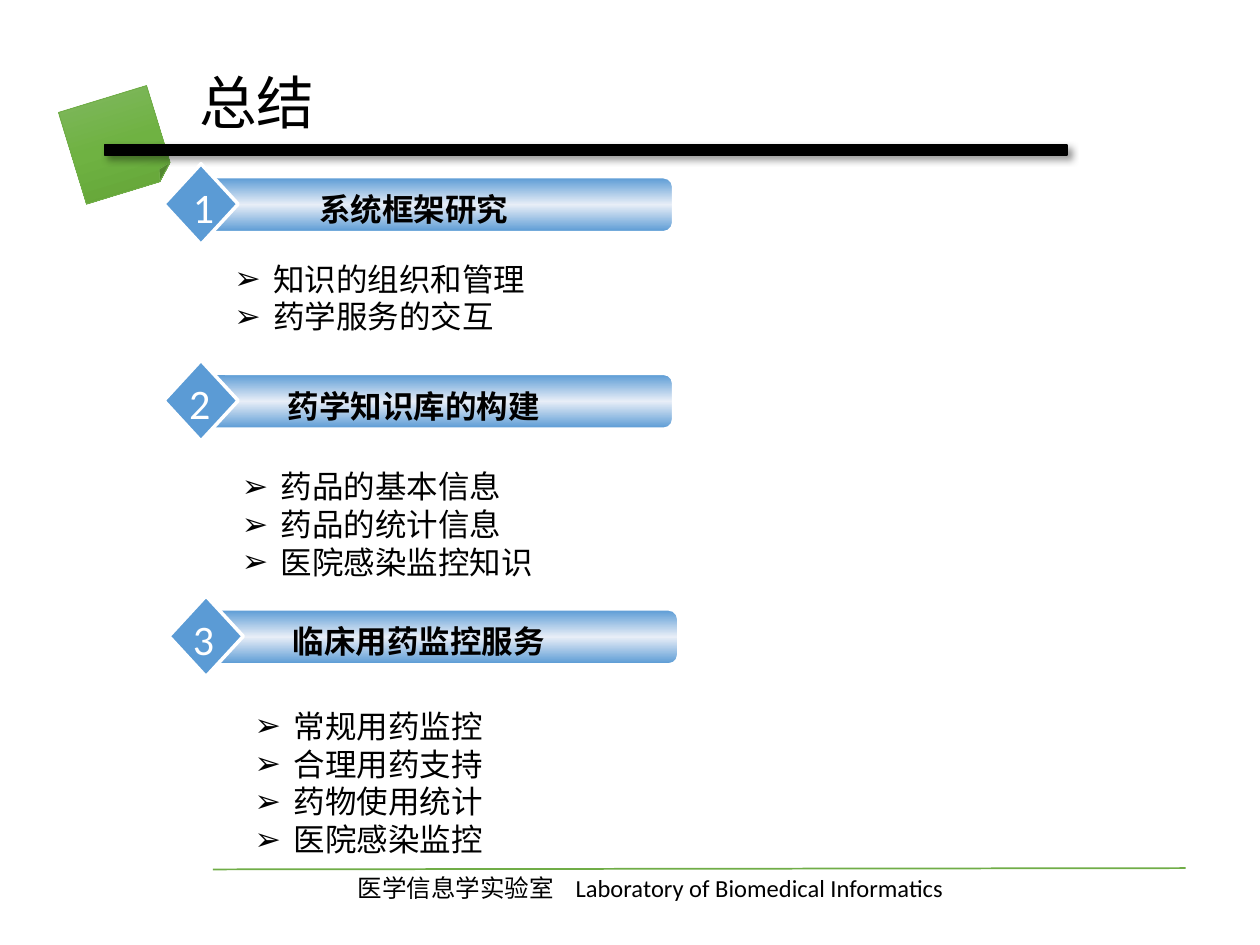
"""Build the summary slide: three numbered banners, each with a bulleted list."""
from copy import deepcopy
from dataclasses import dataclass

from lxml import etree
from pptx import Presentation
from pptx import util as u
from pptx.dml.color import RGBColor
from pptx.enum import shapes, text
from pptx.oxml.ns import qn

COLUMNS, ROWS = 100, 75
SLIDE_WIDTH, SLIDE_HEIGHT = u.Inches(10), u.Inches(7.5)
FONT = "Calibri"
BLACK = RGBColor(0x00, 0x00, 0x00)
WHITE = RGBColor(0xFF, 0xFF, 0xFF)
BLUE = RGBColor(0x5B, 0x9B, 0xD5)
PALE = RGBColor(0xE8, 0xEE, 0xF7)
GREEN = RGBColor(0x70, 0xAD, 0x47)
LEAF = (RGBColor(0x81, 0xB8, 0x61), RGBColor(0x6F, 0xB2, 0x42), RGBColor(0x62, 0xA3, 0x36))
BANNER = (BLUE, PALE, BLUE)


@dataclass(frozen=True)
class Area:
    """A rectangle in grid columns and rows."""
    column: float
    row: float
    columns: float
    rows: float

    def lengths(self) -> tuple[int, ...]:
        """Return left, top, width and height on the slide."""
        across, down = SLIDE_WIDTH / COLUMNS, SLIDE_HEIGHT / ROWS
        return (round(self.column * across), round(self.row * down),
                round(self.columns * across), round(self.rows * down))


@dataclass(frozen=True)
class Section:
    """A numbered banner and the list below it."""
    number: str
    heading: str
    column: float
    row: float
    number_column: float
    placeholder: int
    list_area: Area
    items: tuple[str, ...]


SECTIONS = (
    Section("1", "系统框架研究", 13, 13, 14.3, 1, Area(17.6, 20.1, 30, 7.1),
            ("知识的组织和管理", "药学服务的交互")),
    Section("2", "药学知识库的构建", 13, 28.6, 14, 2, Area(18.2, 36.6, 30, 10.1),
            ("药品的基本信息", "药品的统计信息", "医院感染监控知识")),
    Section("3", "临床用药监控服务", 13.4, 47.3, 14.3, 4, Area(19.2, 55.6, 30, 13.1),
            ("常规用药监控", "合理用药支持", "药物使用统计", "医院感染监控")),
)


def place(shape, area: Area) -> None:
    """Move a shape to its grid area."""
    shape.left, shape.top, shape.width, shape.height = area.lengths()


def write(shape, lines, *, size: float, color=BLACK, bold=False,
          align=text.PP_ALIGN.LEFT, anchor=text.MSO_ANCHOR.TOP,
          spacing=1.0, bullet="", indent=0.31, tab=0.0) -> None:
    """Write paragraphs with one format into a shape."""
    frame = shape.text_frame
    frame.auto_size = text.MSO_AUTO_SIZE.NONE
    frame.word_wrap = True
    frame.vertical_anchor = anchor
    for index, line in enumerate(lines):
        para = frame.add_paragraph() if index else frame.paragraphs[0]
        para.alignment = align
        para.line_spacing = spacing
        para.space_before = u.Pt(0)
        properties = para._p.get_or_add_pPr()
        if bullet:
            properties.set("marL", str(u.Inches(indent)))
            properties.set("indent", str(-u.Inches(indent)))
            etree.SubElement(properties, qn("a:buChar"), char=bullet)
        if tab:
            tabs = etree.SubElement(properties, qn("a:tabLst"))
            etree.SubElement(tabs, qn("a:tab"), pos=str(u.Inches(tab)), algn="l")
        span = para.add_run()
        span.text = line
        span.font.name = FONT
        span.font.size = u.Pt(size)
        span.font.bold = bold
        span.font.color.rgb = color


def add_label(owner, area: Area, line: str, **style) -> None:
    """Add a one-line text box."""
    write(owner.add_textbox(*area.lengths()), [line], **style)


def add_figure(owner, kind, area: Area, colors, line, line_width: float):
    """Add a preset shape with a plain fill or a vertical gradient."""
    shape = owner.add_shape(kind, *area.lengths())
    shape.shadow.inherit = False
    shape.line.color.rgb = line
    shape.line.width = u.Pt(line_width)
    if len(colors) == 1:
        shape.fill.solid()
        shape.fill.fore_color.rgb = colors[0]
        return shape
    shape.fill.gradient()
    shape.fill.gradient_angle = 270
    stops = shape._element.spPr.find(".//" + qn("a:gsLst"))
    stops.insert(1, deepcopy(stops[0]))
    for index, (stop, color) in enumerate(zip(shape.fill.gradient_stops, colors)):
        stop.position = index / (len(colors) - 1)
        stop.color.rgb = color
    return shape


def add_shadow(shape) -> None:
    """Give a shape a soft black shadow to the lower right."""
    effects = shape._element.spPr.find(qn("a:effectLst"))
    shadow = etree.SubElement(effects, qn("a:outerShdw"), blurRad=str(u.Pt(4)),
                              dist=str(u.Pt(3)), dir="2700000", algn="tl", rotWithShape="0")
    color = etree.SubElement(shadow, qn("a:srgbClr"), val=str(BLACK))
    etree.SubElement(color, qn("a:alpha"), val="40000")


def add_frame(page) -> None:
    """Draw the leaf, the title bar and the footer."""
    kinds = shapes.MSO_SHAPE
    leaf = add_figure(page.shapes, kinds.FOLDED_CORNER, Area(5.6, 7.7, 7.3, 7.6), LEAF, GREEN, 0.5)
    leaf.rotation = 343
    add_shadow(add_figure(page.shapes, kinds.RECTANGLE, Area(8.3, 11.5, 76.4, 0.8),
                          [BLACK], BLACK, 1))
    left, top, width, height = Area(16.9, 69, 77.2, -0.1).lengths()
    rule = page.shapes.add_connector(shapes.MSO_CONNECTOR.STRAIGHT,
                                     left, top, left + width, top + height)
    rule.line.color.rgb = GREEN
    rule.line.width = u.Pt(1)
    etree.SubElement(rule._element.spPr, qn("a:effectLst"))
    add_label(page.shapes, Area(27.4, 68.8, 63.6, 3.4),
              "医学信息学实验室\tLaboratory of Biomedical Informatics", size=14, tab=1.73)


def add_section(page, section: Section) -> None:
    """Draw one banner group and fill its list."""
    kinds, center = shapes.MSO_SHAPE, text.PP_ALIGN.CENTER
    column, row = section.column, section.row
    group = page.shapes.add_group_shape().shapes
    banner = add_figure(group, kinds.ROUNDED_RECTANGLE,
                        Area(column + 3.3, row + 1.1, 37.1, 4.3), BANNER, WHITE, 1)
    banner.adjustments[0] = 0.17
    add_figure(group, kinds.DIAMOND, Area(column, row, 5.9, 6.4), [BLUE], WHITE, 2)
    add_label(group, Area(column + 5.2, row + 1.6, 29.3, 4), section.heading,
              size=18, bold=True, align=center)
    add_label(group, Area(section.number_column, row + 0.9, 3.7, 5), section.number,
              size=24, color=WHITE, align=center)
    body = page.placeholders[section.placeholder]
    place(body, section.list_area)
    write(body, section.items, size=18, bullet="➢")


def main() -> None:
    """Build and save the deck."""
    deck = Presentation()
    deck.slide_width, deck.slide_height = SLIDE_WIDTH, SLIDE_HEIGHT
    page = deck.slides.add_slide(deck.slide_layouts.get_by_name("Comparison"))
    add_frame(page)
    place(page.shapes.title, Area(14.8, 0.5, 87.9, 15.8))
    write(page.shapes.title, ["总结"], size=33, spacing=0.9, anchor=text.MSO_ANCHOR.MIDDLE)
    for section in SECTIONS:
        add_section(page, section)
    for holder in list(page.placeholders):
        if not holder.text_frame.text:
            holder._element.getparent().remove(holder._element)
    deck.save("out.pptx")


if __name__ == "__main__":
    main()
